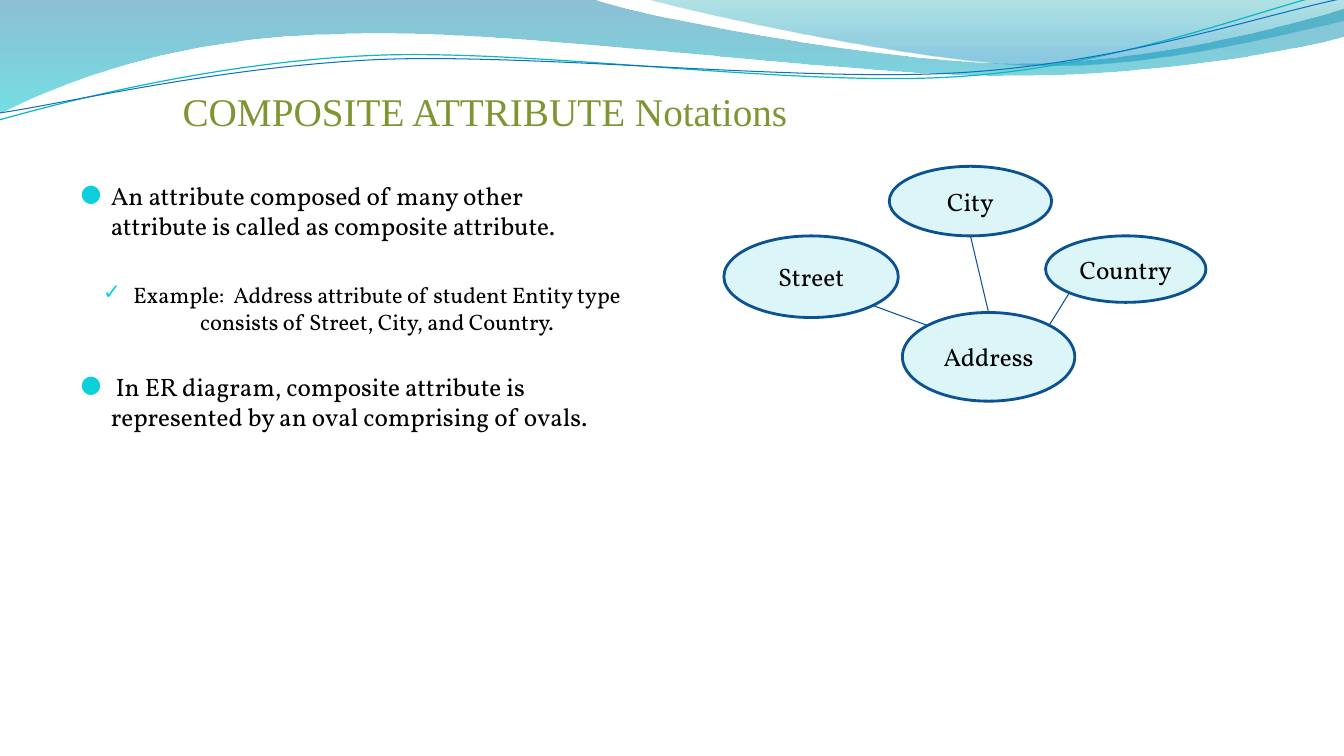
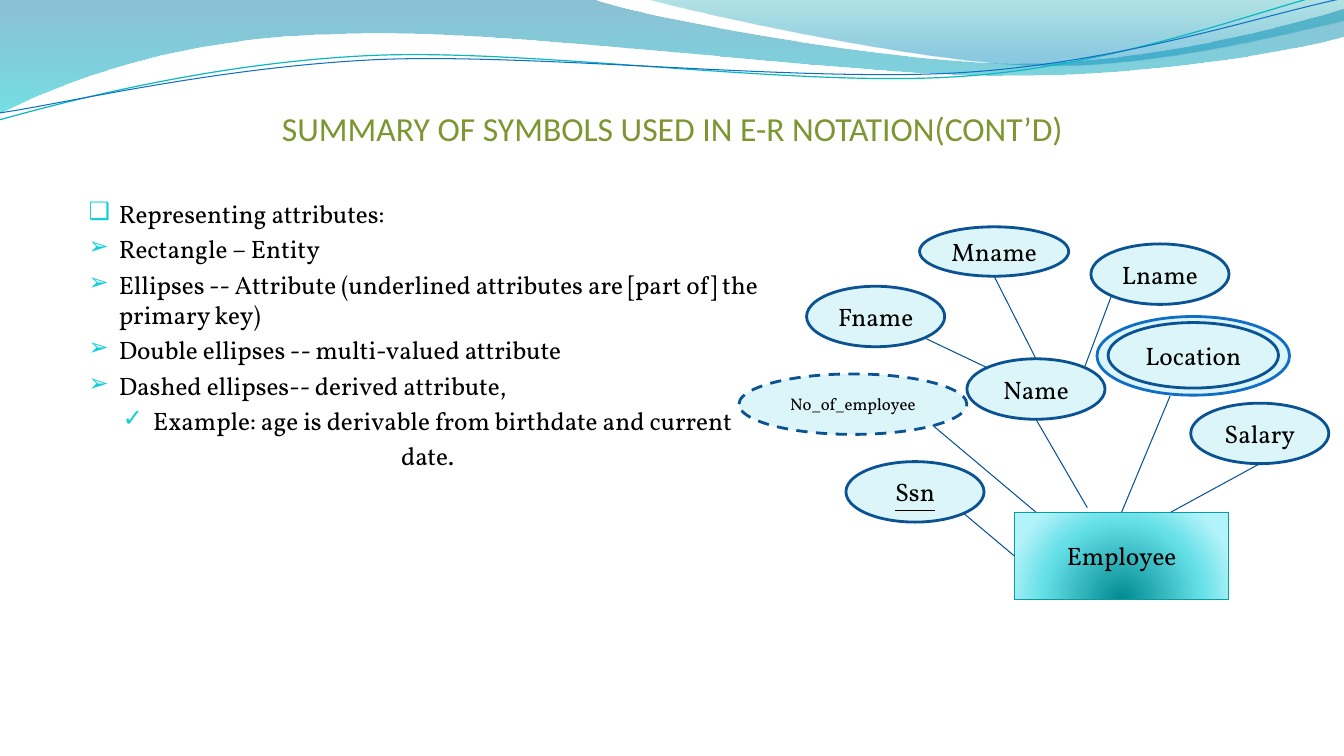
from dataclasses import dataclass

from lxml import etree
from pptx import Presentation
from pptx.dml.color import RGBColor
from pptx.enum.dml import MSO_LINE
from pptx.enum.shapes import MSO_CONNECTOR, MSO_SHAPE
from pptx.enum.text import MSO_ANCHOR, PP_ALIGN
from pptx.oxml.ns import qn
from pptx.util import Inches, Pt

LEFT, CENTER = PP_ALIGN.LEFT, PP_ALIGN.CENTER
MIDDLE, BOTTOM = MSO_ANCHOR.MIDDLE, MSO_ANCHOR.BOTTOM
OVAL, RECT = MSO_SHAPE.OVAL, MSO_SHAPE.RECTANGLE
STRAIGHT, DASH = MSO_CONNECTOR.STRAIGHT, MSO_LINE.DASH
NBSP = chr(160)


@dataclass(frozen=True)
class Theme:
    title: str = "7E9632"
    text: str = "000000"
    bullet: str = "0BD0D9"
    oval_fill: str = "DBF5F9"
    oval_line: str = "0B5292"
    outer_line: str = "0F6FC6"
    link: str = "095295"
    entity_line: str = "069CA3"
    entity_stops: tuple = ((0, "008A91", 100), (68, "64DFE7", 100), (100, "B1F3F9", 100))
    font: str = "Vollkorn"
    body_size: int = 18
    example_size: int = 16
    small_size: int = 12


THEME = Theme()

# Waves: start point, then segments of one point (line) or three (Bezier curve).
BANDS = [
    ((0, 0), [
        [(5.87, -0.01)],
        [(6.34, 0.17), (8.85, 0.63), (10.11, 0.63)],
        [(11.38, 0.63), (12.78, 0.26), (13.33, 0.09)],
        [(13.35, 0.36)],
        [(13.11, 0.44), (11.6, 0.76), (9.94, 0.75)],
        [(8.29, 0.75), (5.09, 0.28), (3.43, 0.34)],
        [(1.72, 0.36), (0.61, 0.83), (-0.01, 1.13)],
        [(0, 0)],
    ], [(0, "0074A1", 45), (100, "00C6CF", 55)]),
    ((6.39, -0.01), [
        [(6.79, 0.11), (9.09, 0.62), (10.25, 0.65)],
        [(11.41, 0.69), (12.82, 0.32), (13.33, 0.21)],
        [(13.33, 0)],
        [(6.39, -0.01)],
    ], [(0, "00A1A9", 30), (80, "008BBF", 45)]),
]
STROKES = [
    ((-0.01, 1.19), [
        [(0.64, 1.01), (2.11, 0.62), (3.69, 0.55)],
        [(5.27, 0.48), (7.9, 0.87), (9.5, 0.76)],
        [(11.1, 0.66), (12.52, 0.08), (13.31, -0.1)],
    ], "0AB8BF", 0.85),
    ((0, 1.12), [
        [(0.63, 1.03), (2.18, 0.66), (3.78, 0.59)],
        [(5.37, 0.53), (7.96, 0.82), (9.55, 0.72)],
        [(11.15, 0.62), (12.55, 0.14), (13.34, -0.02)],
    ], "0F6FC6", 0.75),
]

# Points on an oval's rim, as fractions of its width and height.
TOP, BASE = (0.5, 0), (0.5, 1)
TOP_LEFT, TOP_RIGHT = (0.15, 0.15), (0.85, 0.15)
BASE_LEFT, BASE_RIGHT = (0.15, 0.85), (0.85, 0.85)


def rgb(color):
    return RGBColor.from_string(color)


def add_node(parent, tag, **attrs):
    return etree.SubElement(parent, qn(tag), {k: str(v) for k, v in attrs.items()})


def add_color(parent, color, alpha=100):
    node = add_node(parent, "a:srgbClr", val=color)
    if alpha < 100:
        add_node(node, "a:alpha", val=alpha * 1000)


def set_gradient(shape, stops, radial=False):
    """Fill from top to bottom, or in circles around a point below the shape."""
    shape.fill.gradient()
    grad = shape.element.spPr.find(qn("a:gradFill"))
    for child in list(grad):
        grad.remove(child)
    stop_list = add_node(grad, "a:gsLst")
    for pos, color, alpha in stops:
        add_color(add_node(stop_list, "a:gs", pos=pos * 1000), color, alpha)
    if radial:
        circle = add_node(grad, "a:path", path="circle")
        add_node(circle, "a:fillToRect", l=50000, t=130000, r=50000, b=-30000)
    else:
        add_node(grad, "a:lin", ang=90 * 60000, scaled=0)


def set_line(shape, color, width):
    shape.line.color.rgb = rgb(color)
    shape.line.width = Pt(width)


def bend(shape, segments):
    """Turn each run of three straight segments that forms a curve into a Bezier."""
    outline = next(shape.element.iter(qn("a:path")))
    lines = iter(outline.findall(qn("a:lnTo")))
    for seg in segments:
        nodes = [next(lines) for _ in seg]
        if len(seg) == 3:
            curve = etree.Element(qn("a:cubicBezTo"))
            nodes[0].addprevious(curve)
            for node in nodes:
                curve.append(node[0])
                outline.remove(node)


def add_wave(s, start, segments, close):
    builder = s.shapes.build_freeform(*map(Inches, start))
    points = [tuple(map(Inches, point)) for seg in segments for point in seg]
    builder.add_line_segments(points, close=close)
    wave = builder.convert_to_shape()
    bend(wave, segments)
    wave.shadow.inherit = False
    return wave


def add_waves_to_master(prs, s):
    """Draw the waves on a slide, then move them to the master for all slides."""
    waves = []
    for start, segments, stops in BANDS:
        band = add_wave(s, start, segments, True)
        set_gradient(band, stops)
        band.line.fill.background()
        waves.append(band)
    for start, segments, color, width in STROKES:
        stroke = add_wave(s, start, segments, False)
        stroke.fill.background()
        set_line(stroke, color, width)
        waves.append(stroke)
    for number, wave in enumerate(waves, 101):
        wave.element.nvSpPr.cNvPr.id = number
        prs.slide_master.shapes.element.append(wave.element)


def set_font(p, size, color=THEME.text, name=THEME.font):
    p.font.size = Pt(size)
    p.font.name = name
    p.font.color.rgb = rgb(color)


def add_text_box(s, box):
    tf = s.shapes.add_textbox(*map(Inches, box)).text_frame
    tf.word_wrap = True
    return tf


def add_title(s, box, text, size, font):
    tf = add_text_box(s, box)
    tf.margin_left = tf.margin_right = tf.margin_bottom = 0
    tf.vertical_anchor = BOTTOM
    p = tf.paragraphs[0]
    p.text = text
    p.alignment = CENTER
    set_font(p, size, THEME.title, font)


def add_bullet(p, char):
    pPr = p._p.get_or_add_pPr()
    pPr.set("marL", str(Inches(0.3)))
    pPr.set("indent", str(Inches(-0.3)))
    add_color(add_node(pPr, "a:buClr"), THEME.bullet)
    add_node(pPr, "a:buSzPct", val=95000)
    add_node(pPr, "a:buFont", typeface=THEME.font)
    add_node(pPr, "a:buChar", char=char)


def add_body(s, box, items):
    """Items are (bullet, text, alignment, size, space before)."""
    tf = add_text_box(s, box)
    for i, (char, text, align, size, before) in enumerate(items):
        p = tf.add_paragraph() if i else tf.paragraphs[0]
        p.text = text
        if char:
            add_bullet(p, char)
        p.alignment = align
        p.space_before = Pt(before)
        set_font(p, size)


def add_node_shape(s, kind, box, text="", size=THEME.body_size):
    shape = s.shapes.add_shape(kind, *map(Inches, box))
    shape.shadow.inherit = False
    if text:
        tf = shape.text_frame
        tf.word_wrap = False
        tf.vertical_anchor = MIDDLE
        p = tf.paragraphs[0]
        p.text = text
        p.alignment = CENTER
        set_font(p, size)
    return shape


def add_oval(s, box, text="", size=THEME.body_size, line=THEME.oval_line):
    oval = add_node_shape(s, OVAL, box, text, size)
    oval.fill.solid()
    oval.fill.fore_color.rgb = rgb(THEME.oval_fill)
    set_line(oval, line, 2)
    return oval


def add_entity(s, box, text):
    entity = add_node_shape(s, RECT, box, text)
    set_gradient(entity, THEME.entity_stops, radial=True)
    set_line(entity, THEME.entity_line, 0.75)
    return entity


def point_on(shape, spot):
    return (round(shape.left + shape.width * spot[0]),
            round(shape.top + shape.height * spot[1]))


def add_links(s, links):
    for start, start_spot, end, end_spot in links:
        link = s.shapes.add_connector(STRAIGHT, *point_on(start, start_spot),
                                      *point_on(end, end_spot))
        set_line(link, THEME.link, 0.75)
        add_node(link.element.spPr, "a:effectLst")


def build_composite(s):
    add_title(s, (0.96, 0.72, 7.7, 0.61), "COMPOSITE ATTRIBUTE Notations",
              28, "Times New Roman")
    add_body(s, (0.7, 1.74, 5.78, 4.62), [
        ("●", f"An attribute{NBSP}composed of many other attribute{NBSP}is called as "
              "composite attribute.", LEFT, THEME.body_size, 3.6),
        ("✓", f"Example: {NBSP}Address attribute of student Entity type consists of "
              "Street, City, and Country.", CENTER, THEME.example_size, 28.6),
        ("●", f"{NBSP}In ER diagram, composite attribute is represented by an oval "
              "comprising of ovals.", LEFT, THEME.body_size, 26.2),
    ])
    city = add_oval(s, (8.82, 1.65, 1.61, 0.69), "City")
    country = add_oval(s, (10.37, 2.34, 1.59, 0.66), "Country")
    street = add_oval(s, (7.18, 2.34, 1.73, 0.81), "Street")
    address = add_oval(s, (8.95, 3.1, 1.71, 0.88), "Address")
    add_links(s, [
        (street, BASE_RIGHT, address, TOP_LEFT),
        (country, BASE_LEFT, address, TOP_RIGHT),
        (city, BASE, address, TOP),
    ])


def build_summary(s):
    add_title(s, (0.67, 0.22, 12, 1.25),
              "SUMMARY OF SYMBOLS USED IN E-R NOTATION(CONT’D)", 24, "Calibri")
    lines = [
        ("❑", "Representing attributes:", LEFT),
        ("➢", "Rectangle – Entity", LEFT),
        ("➢", "Ellipses -- Attribute (underlined attributes are [part of] the "
              "primary key)", LEFT),
        ("➢", "Double ellipses -- multi-valued attribute", LEFT),
        ("➢", "Dashed ellipses-- derived attribute,", LEFT),
        ("✓", "Example: age is derivable from birthdate and current", CENTER),
        (None, "date.", CENTER),
    ]
    add_body(s, (0.78, 1.92, 6.92, 4.62),
             [(*line, THEME.body_size, 3.6) for line in lines])

    employee = add_entity(s, (10.06, 5.08, 2.13, 0.87), "Employee")
    mname = add_oval(s, (9.12, 2.25, 1.48, 0.49), "Mname")
    lname, fname, ssn, name, salary = [
        add_oval(s, (x, y, 1.37, 0.6), text) for x, y, text in (
            (10.82, 2.42, "Lname"), (8, 2.84, "Fname"), (8.39, 4.58, "Ssn"),
            (9.59, 3.56, "Name"), (11.81, 4, "Salary"))]
    ssn.text_frame.paragraphs[0].font.underline = True
    count = add_oval(s, (7.33, 3.71, 2.26, 0.6), "No_of_employee", THEME.small_size)
    count.line.dash_style = DASH
    location = add_oval(s, (10.88, 3.14, 1.91, 0.78), line=THEME.outer_line)
    add_oval(s, (10.99, 3.2, 1.69, 0.65), "Location")
    add_links(s, [
        (ssn, BASE_RIGHT, employee, (0, 0.5)),
        (count, BASE_RIGHT, employee, (0.1, 0)),
        (name, BASE, employee, (0.34, -0.05)),
        (location, (0.38, 1.01), employee, TOP),
        (salary, BASE, employee, (0.73, 0)),
        (fname, BASE_RIGHT, name, TOP_LEFT),
        (mname, BASE, name, TOP),
        (lname, BASE_LEFT, name, TOP_RIGHT),
    ])


def main():
    prs = Presentation()
    prs.slide_width, prs.slide_height = Inches(13.33), Inches(7.5)
    blank = prs.slide_layouts[6]
    slides = [prs.slides.add_slide(blank) for _ in range(2)]
    add_waves_to_master(prs, slides[0])
    build_composite(slides[0])
    build_summary(slides[1])
    prs.save("out.pptx")


if __name__ == "__main__":
    main()
